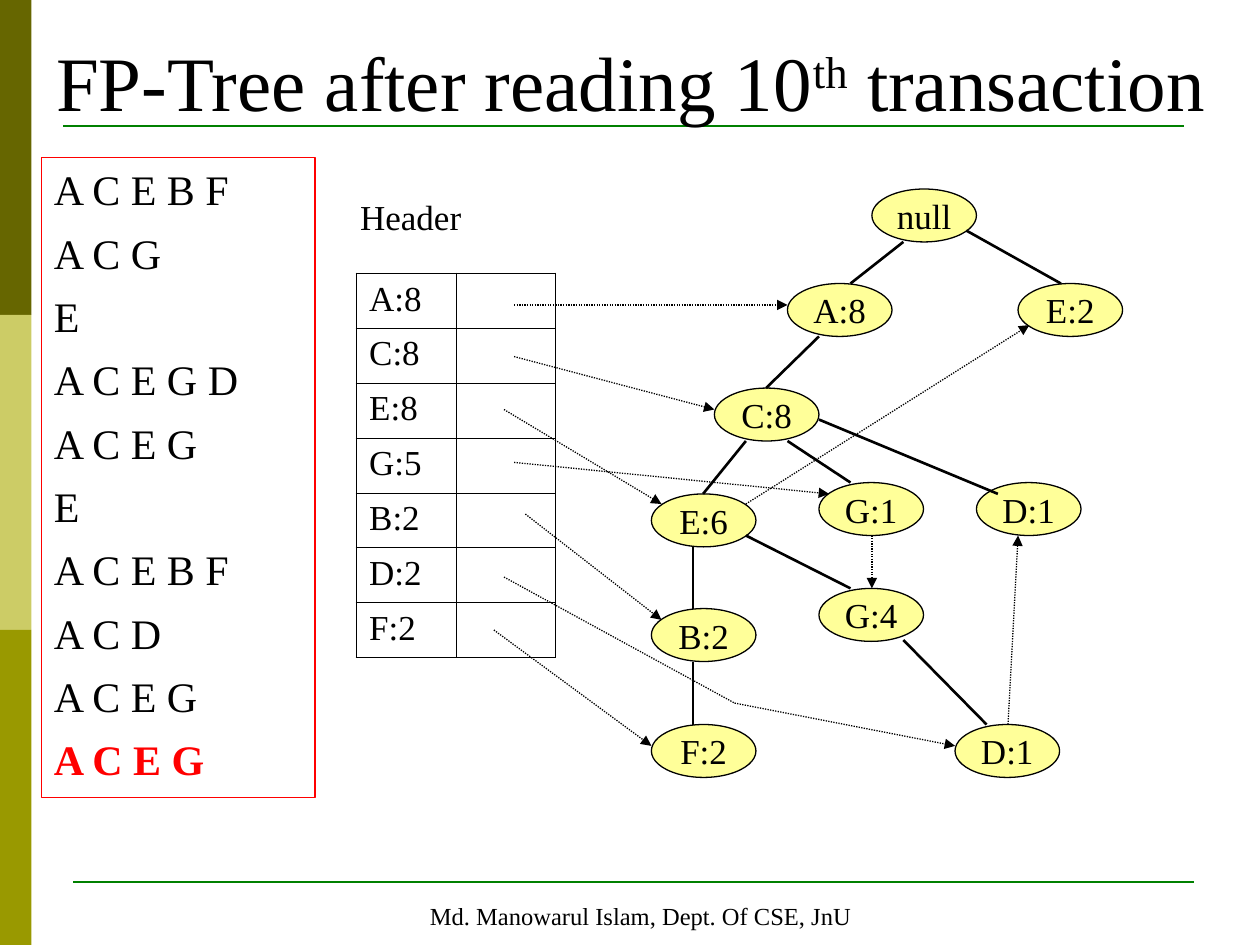
import pptx
import pptx.util
import pptx.dml.color
import pptx.enum.dml
import pptx.enum.shapes
import pptx.enum.text
import pptx.oxml.ns
import lxml.etree

Inches, Pt = pptx.util.Inches, pptx.util.Pt
SHAPE = pptx.enum.shapes.MSO_SHAPE
ALIGN = pptx.enum.text.PP_ALIGN
MIDDLE = pptx.enum.text.MSO_ANCHOR.MIDDLE

COLORS = {"black": "000000", "white": "FFFFFF", "red": "FF0000", "rule": "008000",
          "node": "FFFF99", "dark": "666600", "pale": "CCCC66", "olive": "999900"}
FONT = "Times New Roman"

TITLE = [("FP-Tree after reading 10", 0), ("th", 30), (" transaction", 0)]
FOOTER = "Md. Manowarul Islam, Dept. Of CSE, JnU"
BANDS = ["dark", "pale", "olive"]
RULES = [((0.5, 1), (9.4, 1)), ((0.58, 7), (9.48, 7))]
READS = ["A C E B F", "A C G", "E", "A C E G D", "A C E G",
         "E", "A C E B F", "A C D", "A C E G", "A C E G"]
HEADER = ["A:8", "C:8", "E:8", "G:5", "B:2", "D:2", "F:2"]
NODES = [("null", 6.92, 1.5), ("A:8", 6.25, 2.25), ("E:2", 8.08, 2.25),
         ("C:8", 5.67, 3.08), ("E:6", 5.17, 3.92), ("G:1", 6.5, 3.83),
         ("D:1", 7.75, 3.83), ("G:4", 6.5, 4.67), ("B:2", 5.17, 4.83),
         ("F:2", 5.17, 5.75), ("D:1", 7.58, 5.75)]
EDGES = [((7.17, 1.92), (6.75, 2.25)), ((7.67, 1.83), (8.42, 2.25)),
         ((6.5, 2.67), (6.08, 3.08)), ((5.92, 3.5), (5.58, 3.92)),
         ((6.25, 3.5), (6.75, 3.83)), ((6.5, 3.33), (7.92, 3.92)),
         ((5.5, 4.33), (5.5, 4.83)), ((5.92, 4.25), (6.75, 4.67)),
         ((5.5, 5.25), (5.5, 5.75)), ((7.17, 5.08), (7.83, 5.75))]
LINKS = [[(4.08, 2.42), (6.25, 2.42)], [(4.08, 2.83), (5.67, 3.25)],
         [(4, 3.25), (5.25, 4)], [(5.92, 4), (8.17, 2.58)],
         [(4.08, 3.67), (6.58, 3.92)], [(6.92, 4.25), (6.92, 4.67)],
         [(4.17, 4.08), (5.25, 4.92)], [(3.92, 5), (5.17, 5.92)],
         [(4, 4.58), (5.83, 5.58), (7.58, 5.92)], [(8, 5.75), (8.08, 4.25)]]


def color(name):
    return pptx.dml.color.RGBColor.from_string(COLORS[name])


def style(par, size, tint="black", bold=False):
    for run in par.runs:
        run.font.name = FONT
        run.font.size = Pt(size)
        run.font.bold = bold
        run.font.color.rgb = color(tint)


def add_box(kind, at, fill=None, line=None, width=0.75):
    box = slide.shapes.add_shape(kind, *map(Inches, at))
    box.shadow.inherit = False
    if fill:
        box.fill.solid()
        box.fill.fore_color.rgb = color(fill)
    else:
        box.fill.background()
    if line:
        box.line.color.rgb = color(line)
        box.line.width = Pt(width)
    else:
        box.line.fill.background()
    return box


def put_text(box, text, size, align=ALIGN.CENTER, wrap=False):
    frame = box.text_frame
    frame.text = text
    frame.word_wrap = wrap
    for par in frame.paragraphs:
        par.alignment = align
        style(par, size)
    return frame


def add_line(start, end, tint, width, dotted=False, arrow=False):
    line = slide.shapes.add_connector(pptx.enum.shapes.MSO_CONNECTOR.STRAIGHT,
                                      *map(Inches, start + end))
    line.line.color.rgb = color(tint)
    line.line.width = Pt(width)
    if dotted:
        line.line.dash_style = pptx.enum.dml.MSO_LINE.ROUND_DOT
    if arrow:
        tail = lxml.etree.SubElement(line.line._get_or_add_ln(),
                                     pptx.oxml.ns.qn("a:tailEnd"))
        tail.set("type", "triangle")
    lxml.etree.SubElement(line._element.spPr, pptx.oxml.ns.qn("a:effectLst"))


def add_border(cell, side, width):
    edge = lxml.etree.SubElement(cell._tc.get_or_add_tcPr(),
                                 pptx.oxml.ns.qn("a:ln" + side))
    edge.set("w", str(Pt(width)))
    fill = lxml.etree.SubElement(edge, pptx.oxml.ns.qn("a:solidFill"))
    tint = lxml.etree.SubElement(fill, pptx.oxml.ns.qn("a:srgbClr"))
    tint.set("val", COLORS["black"])


deck = pptx.Presentation()
deck.slide_width, deck.slide_height = Inches(10), Inches(7.5)
slide = deck.slides.add_slide(deck.slide_layouts[6])

for i, band in enumerate(BANDS):
    add_box(SHAPE.RECTANGLE, (0, 2.5 * i, 0.25, 2.5), band)
foot = add_box(SHAPE.RECTANGLE, (0.5, 7.1, 9.17, 0.35), "white", "white", 2)
put_text(foot, FOOTER, 14).vertical_anchor = pptx.enum.text.MSO_ANCHOR.TOP
for start, end in RULES:
    add_line(start, end, "rule", 1.5)

reads = add_box(SHAPE.RECTANGLE, (0.33, 1.25, 2.17, 5.08), line="red")
frame = put_text(reads, "\n".join(READS), 24, ALIGN.LEFT, True)
frame.vertical_anchor = pptx.enum.text.MSO_ANCHOR.TOP
for par in frame.paragraphs[1:]:
    par.space_before = Pt(7.4)
style(frame.paragraphs[-1], 24, "red", True)

title = slide.shapes.add_textbox(*map(Inches, (0.17, 0.25, 9.67, 0.78))).text_frame
title.word_wrap = True
title.vertical_anchor = MIDDLE
head = title.paragraphs[0]
head.alignment = ALIGN.CENTER
for text, lift in TITLE:
    run = head.add_run()
    run.text = text
    if lift:
        run.font._element.set("baseline", str(lift * 1000))
style(head, 44)

label = slide.shapes.add_textbox(*map(Inches, (2.76, 1.5, 1, 0.44)))
put_text(label, "Header", 20, ALIGN.LEFT)

rows = len(HEADER)
grid = slide.shapes.add_table(rows, 2, *map(Inches, (2.83, 2.17, 1.58, 3.05))).table
grid.first_row = grid.horz_banding = False
for r, item in enumerate(HEADER):
    for c, text in enumerate((item, "")):
        cell = grid.cell(r, c)
        outer = {"L": c == 0, "R": c == 1, "T": r == 0, "B": r == rows - 1}
        for side, thick in outer.items():
            add_border(cell, side, 1.08 if thick else 0.45)
        cell.fill.background()
        cell.text = text
        style(cell.text_frame.paragraphs[0], 20)

for text, left, top in NODES:
    node = add_box(SHAPE.OVAL, (left, top, 0.83, 0.42), "node", "black")
    put_text(node, text, 20).vertical_anchor = MIDDLE
for start, end in EDGES:
    add_line(start, end, "black", 1.5)
for stops in LINKS:
    for start, end in zip(stops, stops[1:]):
        add_line(start, end, "black", 0.75, True, end == stops[-1])

deck.save("out.pptx")
